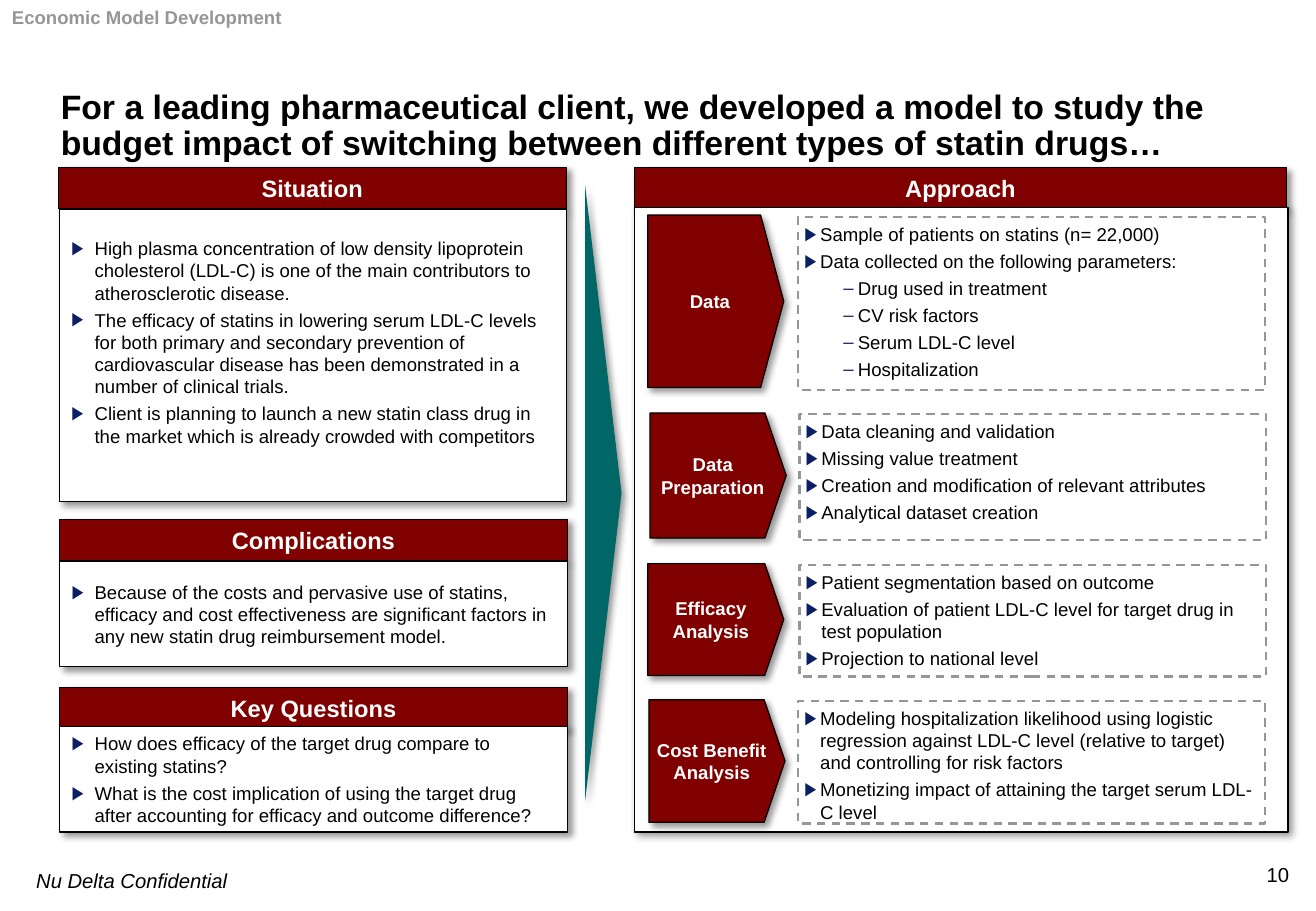
"""Build the statin budget impact slide with its situation and approach panels."""
from lxml import etree
from pptx import Presentation
from pptx.dml.color import RGBColor
from pptx.enum.dml import MSO_LINE
from pptx.enum.shapes import MSO_SHAPE
from pptx.enum.text import MSO_ANCHOR, PP_ALIGN
from pptx.oxml import parse_xml
from pptx.oxml.ns import nsdecls, qn
from pptx.util import Inches, Pt

BLACK = RGBColor(0x00, 0x00, 0x00)
WHITE = RGBColor(0xFF, 0xFF, 0xFF)
MAROON = RGBColor(0x80, 0x00, 0x00)
TEAL = RGBColor(0x00, 0x66, 0x66)
GREY = RGBColor(0x96, 0x96, 0x96)
NAVY = RGBColor(0x0B, 0x1F, 0x65)
RECT, PENTAGON, TRIANGLE = MSO_SHAPE.RECTANGLE, MSO_SHAPE.PENTAGON, MSO_SHAPE.ISOSCELES_TRIANGLE
TOP, MIDDLE, BOTTOM = MSO_ANCHOR.TOP, MSO_ANCHOR.MIDDLE, MSO_ANCHOR.BOTTOM
LEFT, CENTER, RIGHT = PP_ALIGN.LEFT, PP_ALIGN.CENTER, PP_ALIGN.RIGHT
DASH = MSO_LINE.DASH
SHADOW = (f'<a:outerShdw {nsdecls("a")} blurRad="50800" dist="38100" dir="2700000" '
          'algn="tl" rotWithShape="0"><a:srgbClr val="000000"><a:alpha val="40000"/>'
          '</a:srgbClr></a:outerShdw>')


def write(sp, *lines, size=11, color=BLACK, bold=False, italic=False, align=LEFT,
          anchor=TOP, insets=(0.1, 0.05, 0.1, 0.05), wrap=True, spacing=None,
          indent=None, dash_from=99):
    tf = sp.text_frame
    tf.word_wrap = wrap
    tf.vertical_anchor = anchor
    tf.margin_left, tf.margin_top, tf.margin_right, tf.margin_bottom = map(Inches, insets)
    for i, line in enumerate(lines):
        p = tf.add_paragraph() if i else tf.paragraphs[0]
        p.alignment = align
        if spacing:
            p.line_spacing = spacing
        if i:
            p.space_before = Pt(2.75)
        if indent:
            char, margin, hang = ("–", 0.44, 0.12) if i >= dash_from else ("▶", indent, indent)
            pPr = p._p.get_or_add_pPr()
            pPr.set("marL", str(Inches(margin)))
            pPr.set("indent", str(-Inches(hang)))
            bullet_color = etree.SubElement(pPr, qn("a:buClr"))
            etree.SubElement(bullet_color, qn("a:srgbClr"), val=str(NAVY))
            etree.SubElement(pPr, qn("a:buFont"), typeface="Arial")
            etree.SubElement(pPr, qn("a:buChar"), char=char)
        r = p.add_run()
        r.text = line
        r.font.name = "Arial"
        r.font.size = Pt(size)
        r.font.bold = bold
        r.font.italic = italic
        r.font.color.rgb = color


def add_box(kind, at, fill, line=BLACK, width=0.75, dash=None, shadow=True):
    sp = s.shapes.add_shape(kind, *map(Inches, at))
    sp.fill.solid()
    sp.fill.fore_color.rgb = fill
    if line is None:
        sp.line.fill.background()
    else:
        sp.line.color.rgb = line
        sp.line.width = Pt(width)
        if dash:
            sp.line.dash_style = dash
    sp.shadow.inherit = False
    if shadow:
        sp._element.spPr.find(qn("a:effectLst")).append(parse_xml(SHADOW))
    return sp


prs = Presentation()
prs.slide_width = Inches(10.83)
prs.slide_height = Inches(7.5)
s = prs.slides.add_slide(prs.slide_layouts[5])

title = s.shapes.title
title.left, title.top, title.width, title.height = map(Inches, (0.5, 0.42, 9.83, 0.92))
write(title, "For a leading pharmaceutical client, we developed a model to study the budget "
      "impact of switching between different types of statin drugs…",
      size=20, bold=True, anchor=BOTTOM, insets=(0, 0, 0, 0), spacing=0.9)

labels = [
    ("Economic Model Development", (0, 0, 2.44, 0.29),
     dict(color=GREY, bold=True, wrap=False)),
    ("Nu Delta Confidential", (0.2, 7.1, 2, 0.3), dict(size=12, italic=True)),
    ("10", (10.4, 7.1, 0.21, 0.2),
     dict(size=12, align=RIGHT, insets=(0, 0, 0, 0), wrap=False)),
]
for text, at, fmt in labels:
    write(s.shapes.add_textbox(*map(Inches, at)), text, **fmt)

panels = [
    ("Situation", (0.48, 1.38, 4.18, 0.34), (0.49, 1.72, 4.17, 2.41), 0.27, [
        "High plasma concentration of low density lipoprotein cholesterol (LDL-C) is one of "
        "the main contributors to atherosclerotic disease.",
        "The efficacy of statins in lowering serum LDL-C levels for both primary and secondary "
        "prevention of cardiovascular disease has been demonstrated in a number of clinical "
        "trials.",
        "Client is planning to launch a new statin class drug in the market which is already "
        "crowded with competitors"]),
    ("Key Questions", (0.49, 5.66, 4.18, 0.34), (0.49, 5.98, 4.18, 0.87), 0.05, [
        "How does efficacy of the target drug compare to existing statins?",
        "What is the cost implication of using the target drug after accounting for efficacy "
        "and outcome difference?"]),
    ("Complications", (0.49, 4.28, 4.18, 0.34), (0.49, 4.62, 4.18, 0.87), 0.05, [
        "Because of the costs and pervasive use of statins, efficacy and cost effectiveness "
        "are significant factors in any new statin drug reimbursement model."]),
    ("Approach", (5.22, 1.38, 5.37, 0.34), (5.22, 1.71, 5.38, 5.14), 0.05, []),
]
for heading, header_at, body_at, bottom, points in panels:
    header = add_box(RECT, header_at, MAROON)
    write(header, heading, size=14, color=WHITE, bold=True, align=CENTER,
          anchor=MIDDLE, wrap=False)
    body = add_box(RECT, body_at, WHITE)
    write(body, *points, anchor=MIDDLE, insets=(0.1, 0.05, 0.1, bottom), indent=0.19)

steps = [
    ("Data", 5.33, 1.77, 1.42, 6.57, 1.79, 1.42, 2, [
        "Sample of patients on statins (n= 22,000)",
        "Data collected on the following parameters:",
        "Drug used in treatment", "CV risk factors", "Serum LDL-C level", "Hospitalization"]),
    ("Data Preparation", 5.35, 3.4, 1.03, 6.58, 3.41, 1.04, 99, [
        "Data cleaning and validation", "Missing value treatment",
        "Creation and modification of relevant attributes", "Analytical dataset creation"]),
    ("Efficacy Analysis", 5.33, 4.64, 0.92, 6.58, 4.65, 0.92, 99, [
        "Patient segmentation based on outcome",
        "Evaluation of patient LDL-C level for target drug in test population",
        "Projection to national level"]),
    ("Cost Benefit Analysis", 5.34, 5.76, 1.01, 6.57, 5.77, 1.01, 99, [
        "Modeling hospitalization likelihood using logistic regression against LDL-C level "
        "(relative to target) and controlling for risk factors",
        "Monetizing impact of attaining the target serum LDL-C level"]),
]
for name, x, y, h, detail_x, detail_y, detail_h, dash_from, points in steps:
    step = add_box(PENTAGON, (x, y, 1.12, h), MAROON)
    step.adjustments[0] = 0.17
    write(step, name, color=WHITE, bold=True, align=CENTER, anchor=MIDDLE,
          insets=(0.05, 0.05, 0.05, 0.05))
    detail = add_box(RECT, (detail_x, detail_y, 3.84, detail_h), WHITE, line=GREY,
                     width=1.25, dash=DASH, shadow=False)
    write(detail, *points, insets=(0.05, 0.05, 0.05, 0.05), indent=0.13, dash_from=dash_from)

arrow = add_box(TRIANGLE, (2.43, 3.91, 5.07, 0.3), TEAL, line=None)
arrow.rotation = 90

prs.save("out.pptx")
